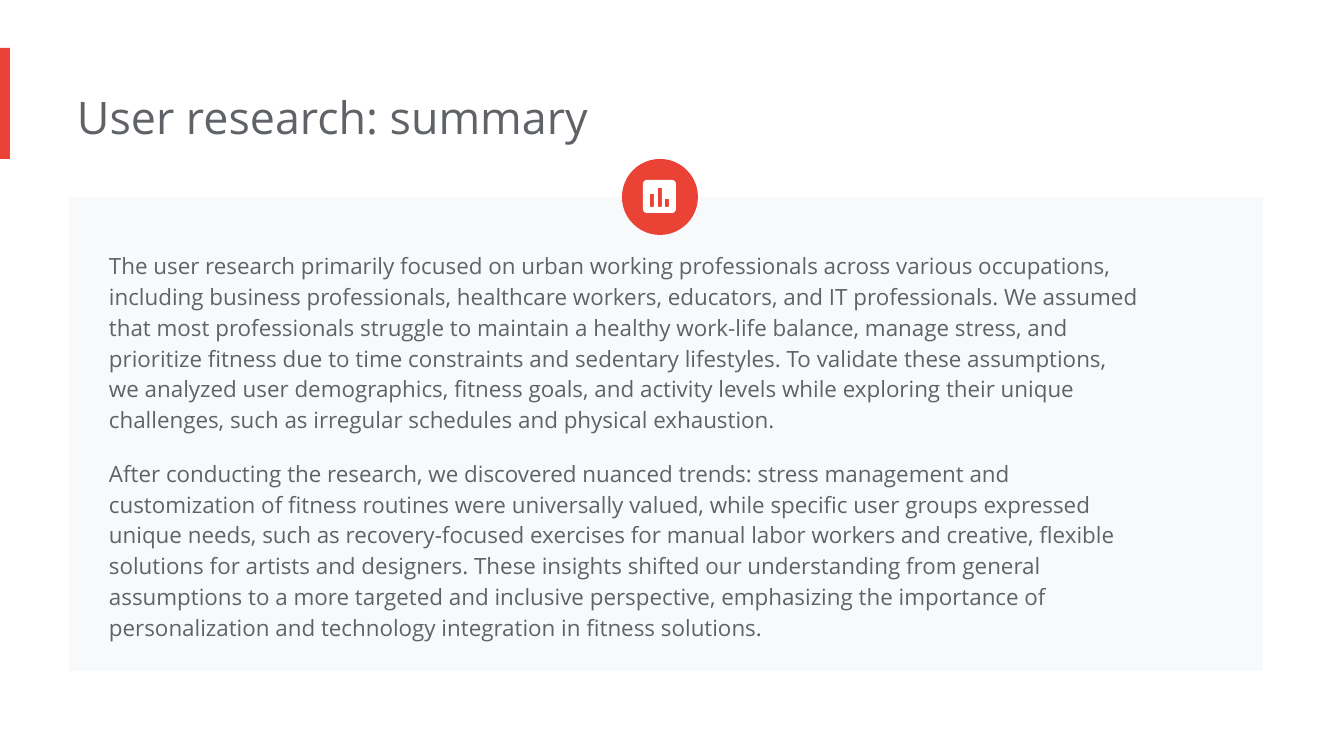
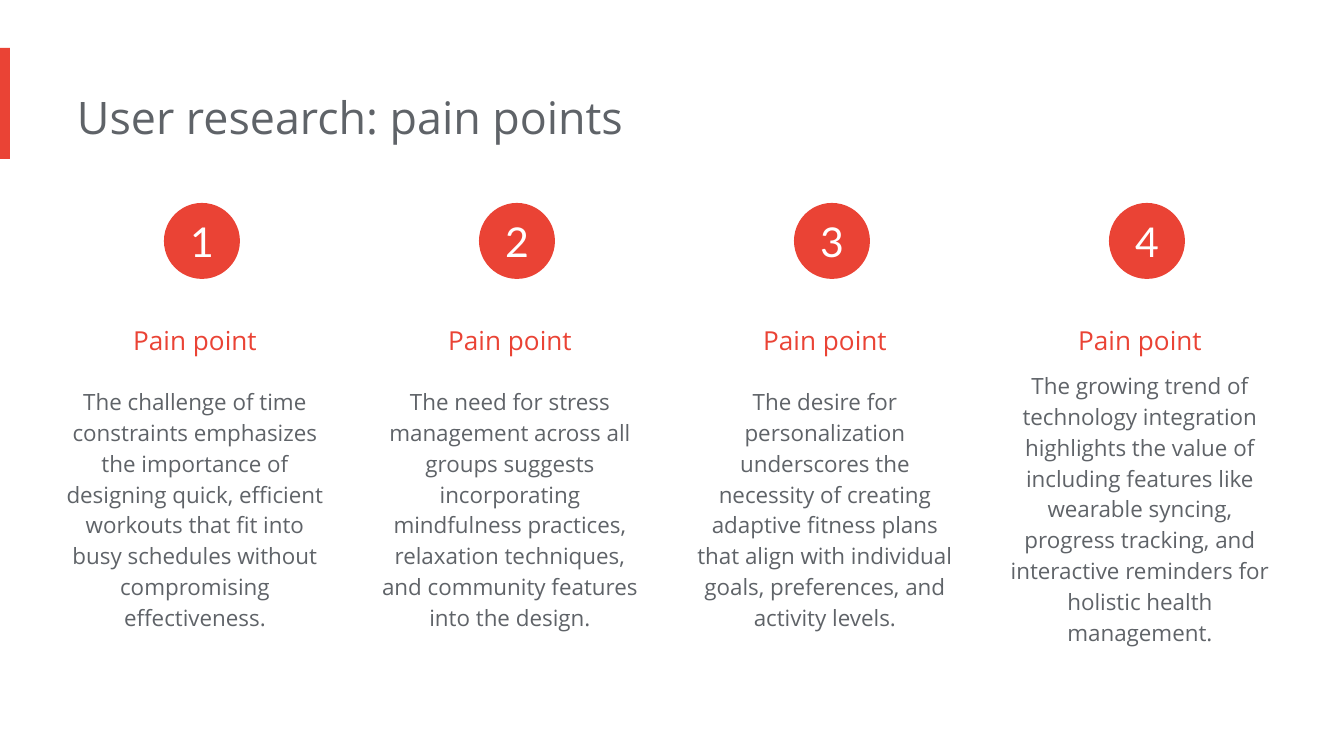
from math import cos, pi, sin

from pptx import Presentation
from pptx.dml.color import RGBColor
from pptx.enum.shapes import MSO_SHAPE as Shape
from pptx.enum.text import MSO_ANCHOR as Anchor, MSO_AUTO_SIZE as AutoSize, PP_ALIGN as Align
from pptx.util import Emu, Pt

# Shared look
RED = RGBColor(0xEA, 0x43, 0x35)
GRAY = RGBColor(0x5F, 0x63, 0x68)
PALE = RGBColor(0xF8, 0xF9, 0xFA)
WHITE = RGBColor(0xFF, 0xFF, 0xFF)
TEXT_FONT, NUMBER_FONT = "Open Sans", "Lato"
SLIDE_WIDTH, SLIDE_HEIGHT = 1344, 756
EMU_PER_PX = 914400 / 134.4
INSET = 13
BADGE_SIZE = 76

# Pain point columns
COLUMN_LEFT, COLUMN_PITCH, COLUMN_WIDTH = 64, 315, 275
BADGE_OFFSET = 100
PAIN_BOTTOM = 644

SUMMARY = [
    "The user research primarily focused on urban working professionals across various "
    "occupations, including business professionals, healthcare workers, educators, and IT "
    "professionals. We assumed that most professionals struggle to maintain a healthy work-life "
    "balance, manage stress, and prioritize fitness due to time constraints and sedentary "
    "lifestyles. To validate these assumptions, we analyzed user demographics, fitness goals, and "
    "activity levels while exploring their unique challenges, such as irregular schedules and "
    "physical exhaustion.",
    "After conducting the research, we discovered nuanced trends: stress management and "
    "customization of fitness routines were universally valued, while specific user groups "
    "expressed unique needs, such as recovery-focused exercises for manual labor workers and "
    "creative, flexible solutions for artists and designers. These insights shifted our "
    "understanding from general assumptions to a more targeted and inclusive perspective, "
    "emphasizing the importance of personalization and technology integration in fitness "
    "solutions.",
]

# Top of the description and its wording
PAIN_POINTS = [
    (371, "The challenge of time constraints emphasizes the importance of designing quick, "
          "efficient workouts that fit into busy schedules without compromising effectiveness."),
    (371, "The need for stress management across all groups suggests incorporating mindfulness "
          "practices, relaxation techniques, and community features into the design."),
    (371, "The desire for personalization underscores the necessity of creating adaptive fitness "
          "plans that align with individual goals, preferences, and activity levels."),
    (355, "The growing trend of technology integration highlights the value of including features "
          "like wearable syncing, progress tracking, and interactive reminders for holistic "
          "health management."),
]


def px(length):
    return Emu(round(length * EMU_PER_PX))


def set_margins(frame, left, others):
    frame.margin_left = px(left)
    frame.margin_top = frame.margin_right = frame.margin_bottom = px(others)


def add_span(para, text, size, color, font=TEXT_FONT):
    span = para.add_run()
    span.text = text
    span.font.name = font
    span.font.size = Pt(size)
    span.font.color.rgb = color


def paint(shape, color):
    shape.shadow.inherit = False
    shape.fill.solid()
    shape.fill.fore_color.rgb = color
    shape.line.fill.background()


def add_block(page, kind, left, top, width, height, color):
    block = page.shapes.add_shape(kind, px(left), px(top), px(width), px(height))
    paint(block, color)
    return block


def set_text(box, paragraphs, size, color, align=Align.LEFT, spacing=None, gap=0):
    frame = box.text_frame
    frame.word_wrap = True
    frame.auto_size = AutoSize.SHAPE_TO_FIT_TEXT
    frame.vertical_anchor = Anchor.TOP
    set_margins(frame, 0, INSET)
    for index, text in enumerate(paragraphs):
        para = frame.add_paragraph() if index else frame.paragraphs[0]
        para.alignment = align
        para.line_spacing = spacing
        if index:
            para.space_before = Pt(gap)
        add_span(para, text, size, color)


def add_text(page, left, top, width, height, paragraphs, size, color, **style):
    box = page.shapes.add_textbox(px(left), px(top), px(width), px(height))
    set_text(box, paragraphs, size, color, **style)


def add_badge(page, left, top, label=None):
    badge = add_block(page, Shape.OVAL, left, top, BADGE_SIZE, BADGE_SIZE, RED)
    if label:
        frame = badge.text_frame
        set_margins(frame, 0, 0)
        frame.vertical_anchor = Anchor.MIDDLE
        frame.paragraphs[0].alignment = Align.CENTER
        add_span(frame.paragraphs[0], label, 22, WHITE, NUMBER_FONT)


def rounded_square(left, top, size, radius, steps=6):
    """Outline points, clockwise from the top right corner."""
    near, far = radius, size - radius
    corners = [(far, near), (far, far), (near, far), (near, near)]
    points = []
    for quarter, (x, y) in enumerate(corners):
        for step in range(steps + 1):
            angle = (quarter - 1 + step / steps) * pi / 2
            points.append((left + x + radius * cos(angle), top + y + radius * sin(angle)))
    return points


def add_chart_icon(page, left, top):
    """White square with three bars cut out of it."""
    outlines = [rounded_square(left, top, 33, 4)]
    base = top + 27
    for bar_left, bar_height in ((7, 13), (15, 19), (22, 8)):
        x, y = left + bar_left, base - bar_height
        outlines.append([(x, y), (x, base), (x + 4, base), (x + 4, y)])
    builder = None
    for outline in outlines:
        start, *rest = [(px(x), px(y)) for x, y in outline]
        if builder is None:
            builder = page.shapes.build_freeform(*start)
        else:
            builder.move_to(*start)
        builder.add_line_segments(rest, close=True)
    paint(builder.convert_to_shape(), WHITE)


def add_page(deck, title):
    page = deck.slides.add_slide(deck.slide_layouts[5])
    add_block(page, Shape.RECTANGLE, 0, 48, 10, 111, RED)
    box = page.shapes.title
    box.left, box.top, box.width, box.height = px(77), px(77), px(905), px(82)
    set_text(box, [title], 24, GRAY)
    return page


def add_summary_page(deck):
    page = add_page(deck, "User research: summary")
    add_block(page, Shape.RECTANGLE, 69, 197, 1194, 474, PALE)
    add_text(page, 109, 235, 1048, 474, SUMMARY, 12, GRAY, spacing=1.15, gap=12)
    add_badge(page, 622, 159)
    add_chart_icon(page, 643, 180)


def add_pain_points_page(deck):
    page = add_page(deck, "User research: pain points")
    for index, (top, text) in enumerate(PAIN_POINTS):
        left = COLUMN_LEFT + index * COLUMN_PITCH
        add_badge(page, left + BADGE_OFFSET, 203, str(index + 1))
        add_text(page, left, 296, COLUMN_WIDTH, 59, ["Pain point"], 14, RED,
                 align=Align.CENTER, spacing=1.5)
        add_text(page, left, top, COLUMN_WIDTH, PAIN_BOTTOM - top, [text], 12, GRAY,
                 align=Align.CENTER, spacing=1.15)


def main():
    deck = Presentation()
    deck.slide_width, deck.slide_height = px(SLIDE_WIDTH), px(SLIDE_HEIGHT)
    add_summary_page(deck)
    add_pain_points_page(deck)
    deck.save("out.pptx")


if __name__ == "__main__":
    main()
